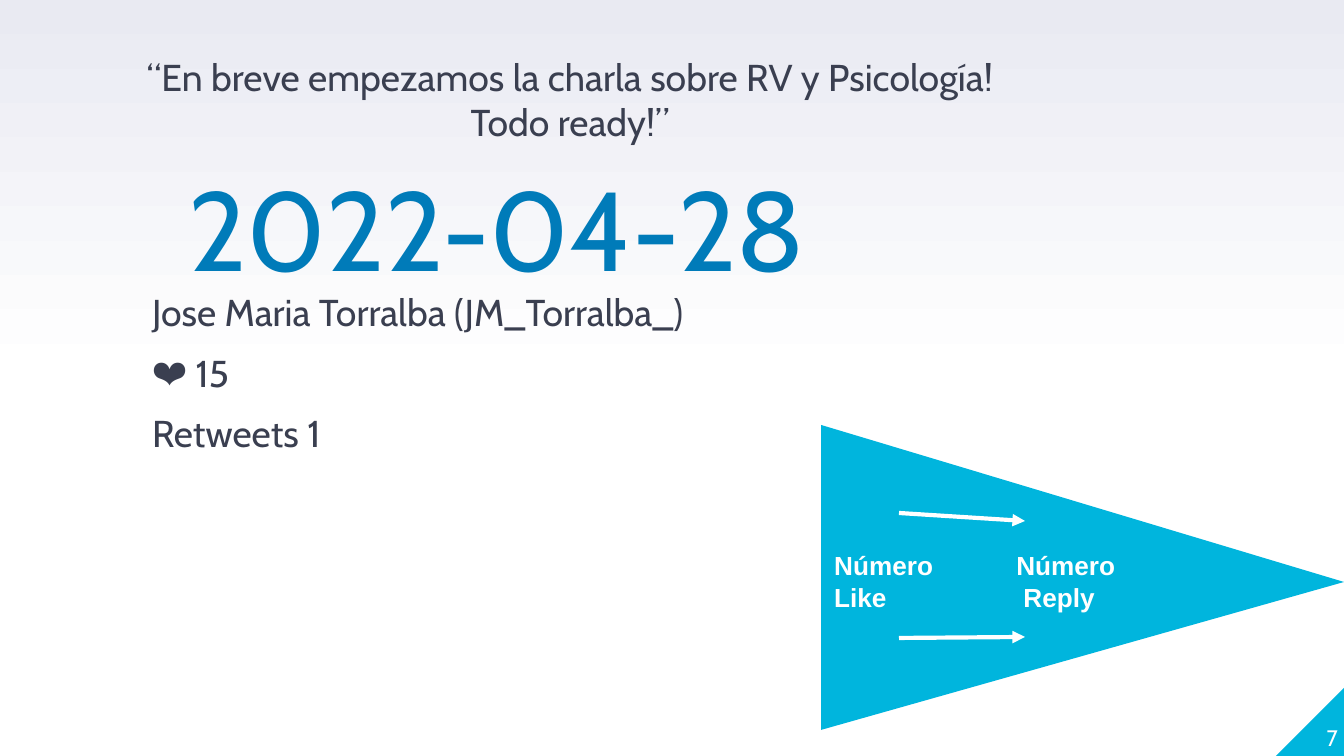
from dataclasses import dataclass

from lxml.etree import SubElement
from pptx import Presentation
from pptx.dml.color import RGBColor
from pptx.enum.shapes import MSO_CONNECTOR as Connector, MSO_SHAPE as Shape
from pptx.enum.text import MSO_ANCHOR as Anchor, MSO_AUTO_SIZE as AutoSize, PP_ALIGN as Align
from pptx.oxml.ns import qn
from pptx.util import Emu, Pt

PX = 914400 / 134.4  # EMU in one px
WHITE = RGBColor(0xFF, 0xFF, 0xFF)
LAVENDER = RGBColor(0xE9, 0xEA, 0xF2)
CYAN = RGBColor(0x00, 0xB5, 0xDD)
BLUE = RGBColor(0x00, 0x7B, 0xB9)
INK = RGBColor(0x3A, 0x3F, 0x50)


@dataclass(frozen=True)
class Box:
    x: int
    y: int
    w: int
    h: int


@dataclass(frozen=True)
class Arrow:
    x1: int
    y1: int
    x2: int
    y2: int


def px(n: int) -> Emu:
    return Emu(round(n * PX))


def place(sp, box: Box) -> None:
    sp.left, sp.top, sp.width, sp.height = map(px, (box.x, box.y, box.w, box.h))


def write(sp, *lines: str, size: int, color: RGBColor, font: str = "Cabin",
          bold: bool = False, align=Align.LEFT, anchor=Anchor.TOP,
          spacing: float = 1.0, before: int = 0, inset: bool = True) -> None:
    """Fill a shape with one paragraph per line, all in one format."""
    tf = sp.text_frame
    tf.word_wrap = True
    tf.auto_size = AutoSize.NONE
    tf.vertical_anchor = anchor
    if not inset:
        tf.margin_left = tf.margin_top = tf.margin_right = tf.margin_bottom = 0
    tf.text = "\n".join(lines)
    for p in tf.paragraphs:
        p.alignment = align
        p.line_spacing = spacing
        p.space_before = Pt(before)
        for r in p.runs:
            r.font.name = font
            r.font.size = Pt(size)
            r.font.bold = bold
            r.font.color.rgb = color


def add_text(slide, box: Box, *lines: str, **fmt) -> None:
    sp = slide.shapes.add_textbox(0, 0, 0, 0)
    place(sp, box)
    write(sp, *lines, **fmt)


def add_solid(slide, kind, box: Box):
    sp = slide.shapes.add_shape(kind, 0, 0, 0, 0)
    place(sp, box)
    sp.shadow.inherit = False
    sp.fill.solid()
    sp.fill.fore_color.rgb = CYAN
    sp.line.fill.background()
    return sp


def add_arrow(slide, arrow: Arrow) -> None:
    ends = map(px, (arrow.x1, arrow.y1, arrow.x2, arrow.y2))
    line = slide.shapes.add_connector(Connector.STRAIGHT, *ends)
    line.line.color.rgb = WHITE
    line.line.width = Pt(2.25)
    SubElement(line.line._get_or_add_ln(), qn("a:tailEnd"), type="triangle")
    SubElement(line._element.spPr, qn("a:effectLst"))


prs = Presentation()
prs.slide_width, prs.slide_height = px(1344), px(756)
s = prs.slides.add_slide(prs.slide_layouts[0])
title, body = s.placeholders

# Background: white lower half, fading to lavender at the top
bg = s.background.fill
bg.gradient()
bg.gradient_angle = 90
for stop, position, color in zip(bg.gradient_stops, (0.5, 1), (WHITE, LAVENDER)):
    stop.position = position
    stop.color.rgb = color

# Date and post details
place(title, Box(188, 181, 762, 116))
write(title, "2022-04-28", size=60, color=BLUE, anchor=Anchor.MIDDLE,
      spacing=0.8, inset=False)
place(body, Box(152, 285, 1094, 116))
write(body, "Jose Maria Torralba (JM_Torralba_)", "❤ 15", "Retweets 1",
      size=20, color=INK, spacing=1.1, before=6, inset=False)

# Page corner and number
corner = add_solid(s, Shape.RIGHT_TRIANGLE, Box(1276, 688, 68, 68))
corner._element.spPr.xfrm.set("flipH", "1")
add_text(s, Box(1183, 563, 155, 188), "7", size=12, color=WHITE,
         align=Align.RIGHT, anchor=Anchor.BOTTOM, inset=False)

# Funnel pointing right
funnel = add_solid(s, Shape.ISOSCELES_TRIANGLE, Box(930, 316, 305, 523))
funnel.rotation = 90
funnel.adjustments[0] = 0.515

# Quote
add_text(s, Box(99, 48, 942, 103),
         "“En breve empezamos la charla sobre RV y Psicología! Todo ready!”",
         size=20, color=INK, align=Align.CENTER)

# Arrows and labels in the funnel
for arrow in (Arrow(899, 513, 1025, 521), Arrow(899, 638, 1025, 637)):
    add_arrow(s, arrow)
for x, label in ((821, "Número Like"), (1003, "Número\v Reply")):
    add_text(s, Box(x, 543, 128, 77), label, size=14, color=WHITE,
             font="Arial", bold=True)

prs.save("out.pptx")
